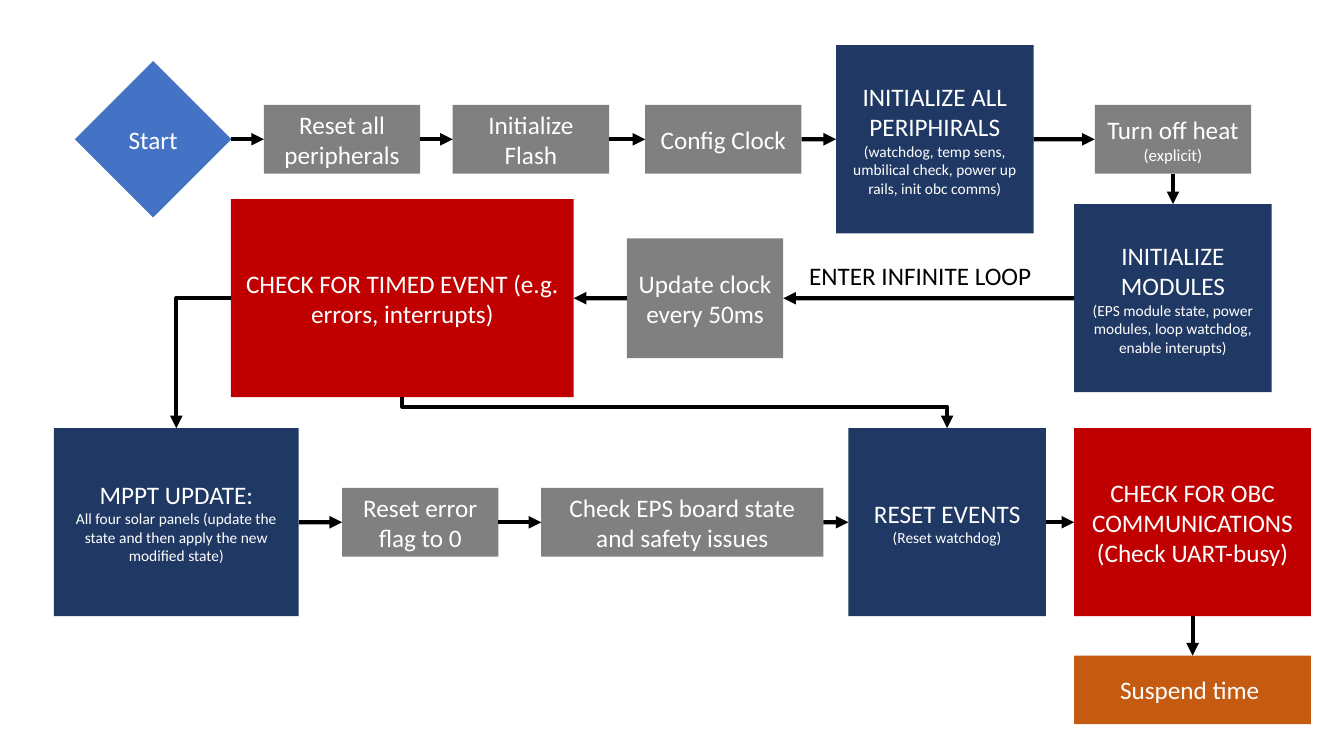
from dataclasses import dataclass
from itertools import pairwise

from pptx import Presentation
from pptx.dml.color import RGBColor
from pptx.enum.shapes import MSO_CONNECTOR as Link, MSO_SHAPE as Form
from pptx.enum.text import MSO_ANCHOR, MSO_AUTO_SIZE, PP_ALIGN
from pptx.oxml.ns import qn
from pptx.oxml.xmlchemy import OxmlElement
from pptx.util import Cm, Pt


@dataclass(frozen=True)
class Theme:
    font: str = "Calibri"
    heading: int = 18
    aside: int = 12
    note: int = 11
    arrow: int = 3
    start: str = "4472C4"
    step: str = "808080"
    module: str = "203864"
    check: str = "C00000"
    suspend: str = "C55A11"
    light: str = "FFFFFF"
    dark: str = "000000"


@dataclass(frozen=True)
class Region:
    left: float
    top: float
    width: float
    height: float


THEME = Theme()
STEP = (3.94, 1.73)
MODULE = (4.98, 4.74)
TOP, LEFT, BOTTOM, RIGHT = range(4)


def style_run(run, size, color=THEME.light):
    run.font.name = THEME.font
    run.font.size = Pt(size)
    run.font.color.rgb = RGBColor.from_string(color)


def add_stage(slide, region, offset, size, color, heading,
              note="", note_size=THEME.note, aside="", form=Form.RECTANGLE):
    """Place a stage at an offset from the region's left, on its middle line."""
    width, height = size
    top = region.top + (region.height - height) / 2
    stage = slide.shapes.add_shape(
        form, Cm(region.left + offset), Cm(top), Cm(width), Cm(height))
    stage.shadow.inherit = False
    stage.fill.solid()
    stage.fill.fore_color.rgb = RGBColor.from_string(color)
    stage.line.fill.background()

    frame = stage.text_frame
    frame.word_wrap = True
    frame.vertical_anchor = MSO_ANCHOR.MIDDLE
    frame.text = heading
    first = frame.paragraphs[0]
    style_run(first.runs[0], THEME.heading)
    if aside:
        aside_run = first.add_run()
        aside_run.text = aside
        style_run(aside_run, THEME.aside)
    if note:
        detail = frame.add_paragraph()
        detail.text = note
        style_run(detail.runs[0], note_size)
    for paragraph in frame.paragraphs:
        paragraph.alignment = PP_ALIGN.CENTER
    return stage


def add_arrow(slide, source, source_side, target, target_side, kind=Link.STRAIGHT):
    arrow = slide.shapes.add_connector(kind, 0, 0, 0, 0)
    arrow.begin_connect(source, source_side)
    arrow.end_connect(target, target_side)
    arrow.line.width = Pt(THEME.arrow)
    arrow.line.color.rgb = RGBColor.from_string(THEME.dark)
    tip = OxmlElement("a:tailEnd")
    tip.set("type", "triangle")
    arrow.line._get_or_add_ln().append(tip)
    arrow._element.spPr.append(OxmlElement("a:effectLst"))
    return arrow


def add_corner_arrow(slide, source, target):
    """Leave sideways and turn once, down into the target."""
    arrow = add_arrow(slide, source, LEFT, target, TOP, Link.ELBOW)
    arrow._element.spPr.find(qn("a:prstGeom")).set("prst", "bentConnector2")


def add_step_down_arrow(slide, source, target, bend):
    """Leave downwards, run right, then drop into the target."""
    arrow = add_arrow(slide, source, BOTTOM, target, TOP, Link.ELBOW)
    center_x = arrow.left + arrow.width // 2
    center_y = arrow.top + arrow.height // 2
    arrow.width, arrow.height = arrow.height, arrow.width
    arrow.left = center_x - arrow.width // 2
    arrow.top = center_y - arrow.height // 2
    properties = arrow._element.spPr
    frame = properties.find(qn("a:xfrm"))
    frame.set("rot", str(270 * 60000))
    frame.set("flipH", "1")
    guide = OxmlElement("a:gd")
    guide.set("name", "adj1")
    guide.set("fmla", f"val {round(bend * 100000)}")
    properties.find(qn("a:prstGeom")).get_or_add_avLst().append(guide)


def chain(slide, stages, out_side=RIGHT, in_side=LEFT):
    for source, target in pairwise(stages):
        add_arrow(slide, source, out_side, target, in_side)


def build_startup(slide, region):
    start = add_stage(slide, region, 0, (3.94, 3.94), THEME.start, "Start",
                      form=Form.DIAMOND)
    steps = [
        add_stage(slide, region, offset, STEP, THEME.step, heading)
        for offset, heading in ((4.76, "Reset all peripherals"),
                                (9.52, "Initialize Flash"),
                                (14.37, "Config Clock"))
    ]
    peripherals = add_stage(
        slide, region, 19.18, MODULE, THEME.module, "INITIALIZE ALL PERIPHIRALS",
        "(watchdog, temp sens, umbilical check, power up rails, init obc comms)")
    heat = add_stage(slide, region, 25.7, STEP, THEME.step, "Turn off heat ",
                     aside="(explicit)")
    chain(slide, [start, *steps, peripherals, heat])
    return heat


def build_loop_entry(slide, region):
    timed_event = add_stage(slide, region, 0, (8.64, 4.99), THEME.check,
                            "CHECK FOR TIMED EVENT (e.g. errors, interrupts)")
    clock = add_stage(slide, region, 9.98, (3.94, 3.02), THEME.step,
                      "Update clock every 50ms")
    modules = add_stage(
        slide, region, 21.25, MODULE, THEME.module, "INITIALIZE MODULES",
        "(EPS module state, power modules, loop watchdog, enable interupts)")
    chain(slide, [modules, clock, timed_event], LEFT, RIGHT)

    # Loop label above the arrow
    label = slide.shapes.add_textbox(
        Cm(region.left + 14.32), Cm(region.top + 1.41), Cm(7.44), Cm(1.02))
    label.text_frame.word_wrap = True
    label.text_frame.auto_size = MSO_AUTO_SIZE.SHAPE_TO_FIT_TEXT
    label.text_frame.text = "ENTER INFINITE LOOP"
    style_run(label.text_frame.paragraphs[0].runs[0], THEME.heading, THEME.dark)
    return modules, timed_event


def build_event_handling(slide, region):
    mppt = add_stage(
        slide, region, 0, (6.17, 4.74), THEME.module, "MPPT UPDATE:",
        "All four solar panels (update the state and then apply the new modified state)")
    error_flag = add_stage(slide, region, 7.26, STEP, THEME.step,
                           "Reset error flag to 0")
    board = add_stage(slide, region, 12.28, (7.11, 1.73), THEME.step,
                      "Check EPS board state and safety issues")
    events = add_stage(slide, region, 20.02, MODULE, THEME.module,
                       "RESET EVENTS", "(Reset watchdog)")
    communications = add_stage(
        slide, region, 25.71, (5.97, 4.74), THEME.check,
        "CHECK FOR OBC COMMUNICATIONS", "(Check UART-busy)", THEME.heading)
    chain(slide, [mppt, error_flag, board, events, communications])
    return mppt, events, communications


def build_suspension(slide, region):
    return add_stage(slide, region, 0, (region.width, region.height),
                     THEME.suspend, "Suspend time ")


def main():
    deck = Presentation()
    deck.slide_width, deck.slide_height = Cm(33.87), Cm(19.05)
    slide = deck.slides.add_slide(deck.slide_layouts[6])

    # Rows of the flow
    heat = build_startup(slide, Region(1.89, 1.14, 29.64, 4.74))
    modules, timed_event = build_loop_entry(slide, Region(5.82, 5.02, 26.23, 4.99))
    mppt, events, communications = build_event_handling(
        slide, Region(1.36, 10.79, 31.68, 4.74))
    suspend = build_suspension(slide, Region(27.07, 16.52, 5.97, 1.73))

    # Arrows between rows
    add_arrow(slide, heat, BOTTOM, modules, TOP)
    add_arrow(slide, communications, BOTTOM, suspend, TOP)
    add_corner_arrow(slide, timed_event, mppt)
    add_step_down_arrow(slide, timed_event, events, 0.31)

    deck.save("out.pptx")


if __name__ == "__main__":
    main()
